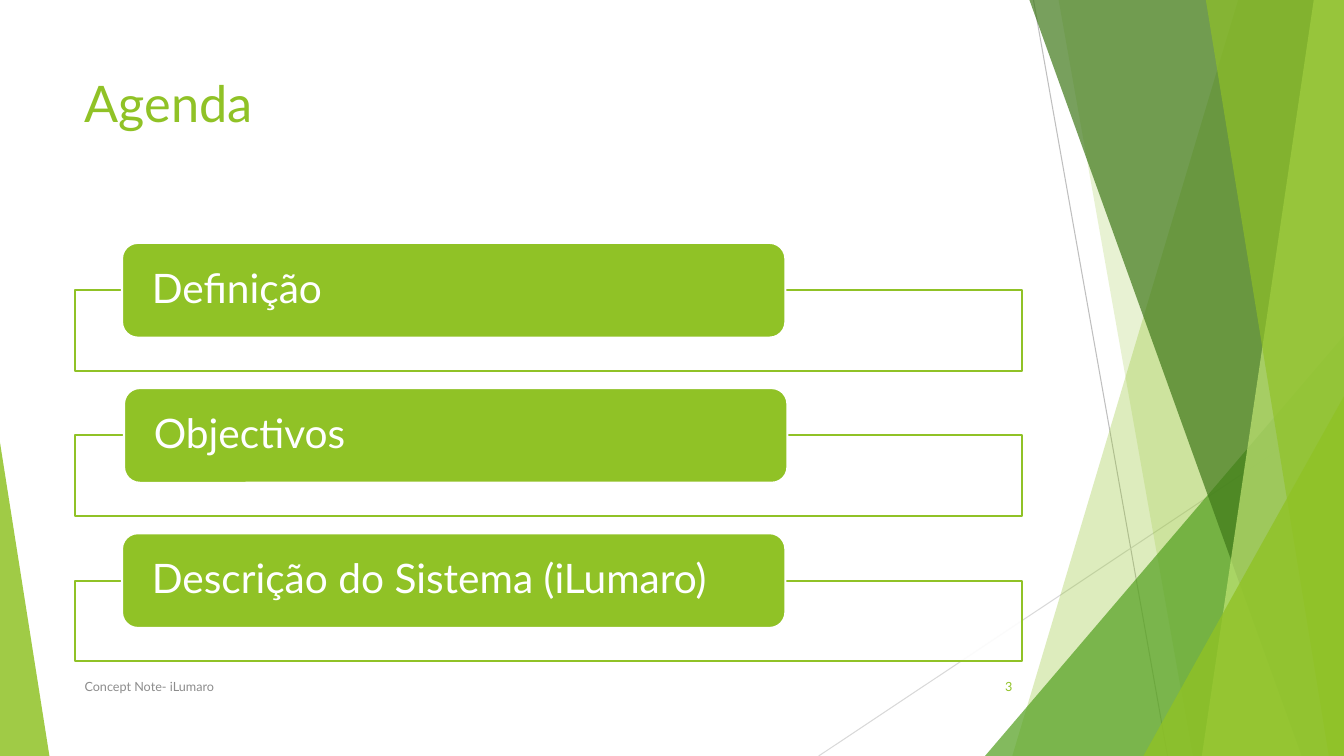
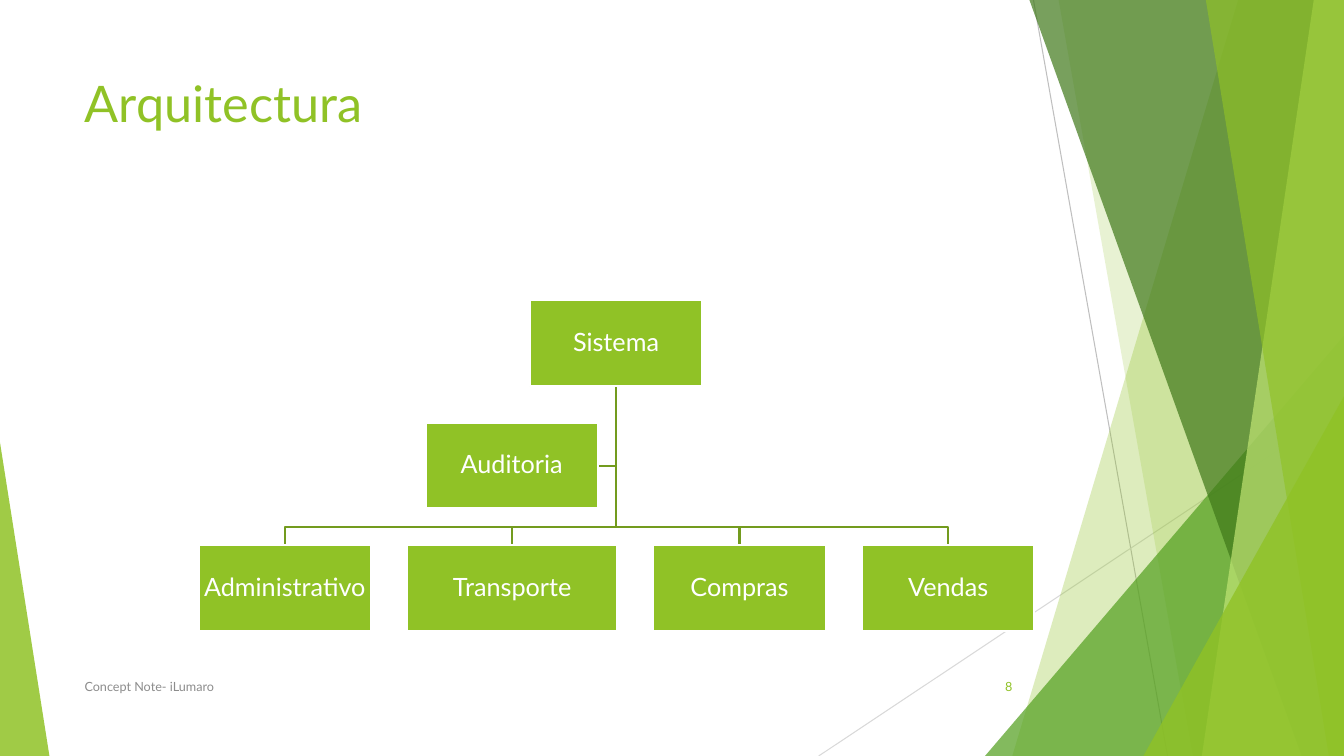
from lxml import etree
from pptx import Presentation
from pptx.dml.color import RGBColor
from pptx.enum.shapes import MSO_CONNECTOR, MSO_SHAPE
from pptx.enum.text import MSO_ANCHOR, MSO_AUTO_SIZE, PP_ALIGN
from pptx.oxml.ns import qn
from pptx.util import Inches, Pt

RECTANGLE, ROUNDED = MSO_SHAPE.RECTANGLE, MSO_SHAPE.ROUNDED_RECTANGLE
TRIANGLE, STRAIGHT = MSO_SHAPE.ISOSCELES_TRIANGLE, MSO_CONNECTOR.STRAIGHT
TOP, MIDDLE = MSO_ANCHOR.TOP, MSO_ANCHOR.MIDDLE
LEFT, CENTER, RIGHT = PP_ALIGN.LEFT, PP_ALIGN.CENTER, PP_ALIGN.RIGHT
NO_AUTOFIT = MSO_AUTO_SIZE.NONE

WHITE = RGBColor(0xFF, 0xFF, 0xFF)
LIME = RGBColor(0x90, 0xC2, 0x26)
PALE_LIME = RGBColor(0xC0, 0xE4, 0x74)
GREEN = RGBColor(0x54, 0xA0, 0x21)
FOREST = RGBColor(0x3F, 0x78, 0x19)
OLIVE = RGBColor(0x73, 0x9B, 0x1E)
GRAY = RGBColor(0x8C, 0x8C, 0x8C)
SILVER = RGBColor(0xBF, 0xBF, 0xBF)
PALE_GRAY = RGBColor(0xD9, 0xD9, 0xD9)

FONT = "Lato"
WIDTH, HEIGHT = 13.33, 7.5
MARGIN, CONTENT_WIDTH = 0.74, 9.4
TITLE_BOX = (MARGIN, 0.67, CONTENT_WIDTH, 1.44)
FOOTER_BOX = (MARGIN, 6.61, CONTENT_WIDTH, 0.4)
PRODUCT = "iLumaro"
FOOTER = f"Concept Note- {PRODUCT}"


def inches(*lengths):
    return [Inches(length) for length in lengths]


def write(shape, text, size=18, color=WHITE, align=LEFT, anchor=MIDDLE,
          insets=(0.1, 0.05), spacing=1.0):
    frame = shape.text_frame
    frame.word_wrap = True
    frame.auto_size = NO_AUTOFIT
    frame.vertical_anchor = anchor
    frame.margin_left = frame.margin_right = Inches(insets[0])
    frame.margin_top = frame.margin_bottom = Inches(insets[1])
    paragraph = frame.paragraphs[0]
    paragraph.alignment = align
    paragraph.line_spacing = spacing
    run = paragraph.add_run()
    run.text = text
    run.font.name = FONT
    run.font.size = Pt(size)
    run.font.color.rgb = color


def paint(shape, fill=None, opacity=100, line=None):
    shape.shadow.inherit = False
    if fill is None:
        shape.fill.background()
    else:
        shape.fill.solid()
        shape.fill.fore_color.rgb = fill
        if opacity < 100:
            color = shape.element.spPr.find(qn("a:solidFill"))[0]
            etree.SubElement(color, qn("a:alpha"), val=str(opacity * 1000))
    if line is None:
        shape.line.fill.background()
    else:
        shape.line.color.rgb = line
        shape.line.width = Pt(1.5)


def add_block(slide, kind, box, **look):
    block = slide.shapes.add_shape(kind, *inches(*box))
    paint(block, **look)
    return block


def add_outline(slide, points, close, **look):
    corners = [inches(*point) for point in points]
    builder = slide.shapes.build_freeform(*corners[0])
    builder.add_line_segments(corners[1:], close=close)
    paint(builder.convert_to_shape(), **look)


def add_ray(slide, start, end, color):
    ray = slide.shapes.add_connector(STRAIGHT, *inches(*start, *end))
    ray.line.color.rgb = color
    ray.line.width = Pt(0.75)
    etree.SubElement(ray.element.spPr, qn("a:effectLst"))


def add_facet(slide, top_x, bottom_x, color, opacity):
    corners = [(top_x, 0), (WIDTH, 0), (WIDTH, HEIGHT), (bottom_x, HEIGHT)]
    add_outline(slide, corners, True, fill=color, opacity=opacity)


def add_corner(slide, left, top, width, peak, color, opacity):
    corner = add_block(slide, TRIANGLE, (left, top, width, HEIGHT - top),
                       fill=color, opacity=opacity)
    corner.adjustments[0] = peak


def draw_facets(slide):
    add_ray(slide, (10.25, 0), (11.58, HEIGHT), SILVER)
    add_ray(slide, (WIDTH, 4.03), (8.12, HEIGHT), PALE_GRAY)
    add_facet(slide, 12.28, 10.04, LIME, 30)
    add_facet(slide, 10.5, 11.83, LIME, 20)
    add_corner(slide, 9.77, 3.33, 3.56, 1, GREEN, 72)
    add_facet(slide, 10.21, 12.91, FOREST, 70)
    add_facet(slide, 13.03, 11.92, PALE_LIME, 70)
    add_facet(slide, 11.96, 13.18, LIME, 65)
    add_corner(slide, 11.34, 3.93, 1.99, 1, LIME, 80)
    add_corner(slide, 0, 4.39, 0.49, 0, LIME, 85)


def prepare_layout(deck, layout):
    title, *unused = layout.placeholders
    for placeholder in unused:
        layout.shapes.element.remove(placeholder.element)
    title.left, title.top, title.width, title.height = inches(*TITLE_BOX)
    slide = deck.slides.add_slide(layout)
    draw_facets(slide)
    for position, part in enumerate(list(slide.shapes)[1:], start=2):
        layout.shapes.element.insert(position, part.element)
    return slide


def add_footer(slide, box, number):
    left, top, width, height = box
    number_width = 0.75
    note = slide.shapes.add_textbox(*inches(left, top, 6.89, height))
    write(note, FOOTER, size=9, color=GRAY)
    page = slide.shapes.add_textbox(
        *inches(left + width - number_width, top, number_width, height))
    write(page, number, size=9, color=LIME, align=RIGHT)


def frame_slide(slide, title, number):
    write(slide.shapes.title, title, size=36, color=LIME, anchor=TOP)
    add_footer(slide, FOOTER_BOX, number)


def draw_agenda(slide, box, topics):
    left, top, width, pitch = box
    for row, (topic, indent) in enumerate(topics):
        y = top + row * pitch
        add_block(slide, RECTANGLE, (left, y + 0.47, width, 0.8),
                  fill=WHITE, opacity=90, line=LIME)
        label = add_block(slide, ROUNDED, (left + indent, y, width * 0.7, 0.94),
                          fill=LIME, line=WHITE)
        write(label, topic, size=29, insets=(0.25, 0.05), spacing=0.9)


def draw_organisation(slide, box, root, assistant, branches):
    left, top, width, height = box
    node_width, node_height, gap, drop = 1.71, 0.85, 0.36, 0.18
    center = left + width / 2
    root_bottom = top + node_height
    branch_top = top + height - node_height
    assistant_top = (top + branch_top) / 2
    assistant_right = center - drop
    bus = branch_top - drop

    nodes = [(root, center - node_width / 2, top, node_width),
             (assistant, assistant_right - node_width, assistant_top, node_width)]
    assistant_middle = assistant_top + node_height / 2
    links = [[(center, root_bottom), (center, assistant_middle),
              (assistant_right, assistant_middle)]]
    x = left
    for name, branch_width in branches:
        middle = x + branch_width / 2
        nodes.append((name, x, branch_top, branch_width))
        links.append([(center, root_bottom), (center, bus),
                      (middle, bus), (middle, branch_top)])
        x += branch_width + gap

    for link in links:
        add_outline(slide, link, False, line=OLIVE)
    for name, x, y, breadth in nodes:
        node = add_block(slide, RECTANGLE, (x, y, breadth, node_height),
                         fill=LIME, line=WHITE)
        write(node, name, align=CENTER, insets=(0.01, 0.01), spacing=0.9)


deck = Presentation()
deck.slide_width, deck.slide_height = inches(WIDTH, HEIGHT)
title_only = deck.slide_layouts[5]

agenda = prepare_layout(deck, title_only)
frame_slide(agenda, "Agenda", "3")
draw_agenda(agenda, (MARGIN, 2.41, CONTENT_WIDTH, 1.44),
            [("Definição", 0.47), ("Objectivos", 0.49),
             (f"Descrição do Sistema ({PRODUCT})", 0.47)])

architecture = deck.slides.add_slide(title_only)
frame_slide(architecture, "Arquitectura", "8")
draw_organisation(architecture, (1.97, 2.98, 8.28, 3.28), "Sistema", "Auditoria",
                  [("Administrativo", 1.71), ("Transporte", 2.08),
                   ("Compras", 1.71), ("Vendas", 1.71)])

deck.save("out.pptx")
